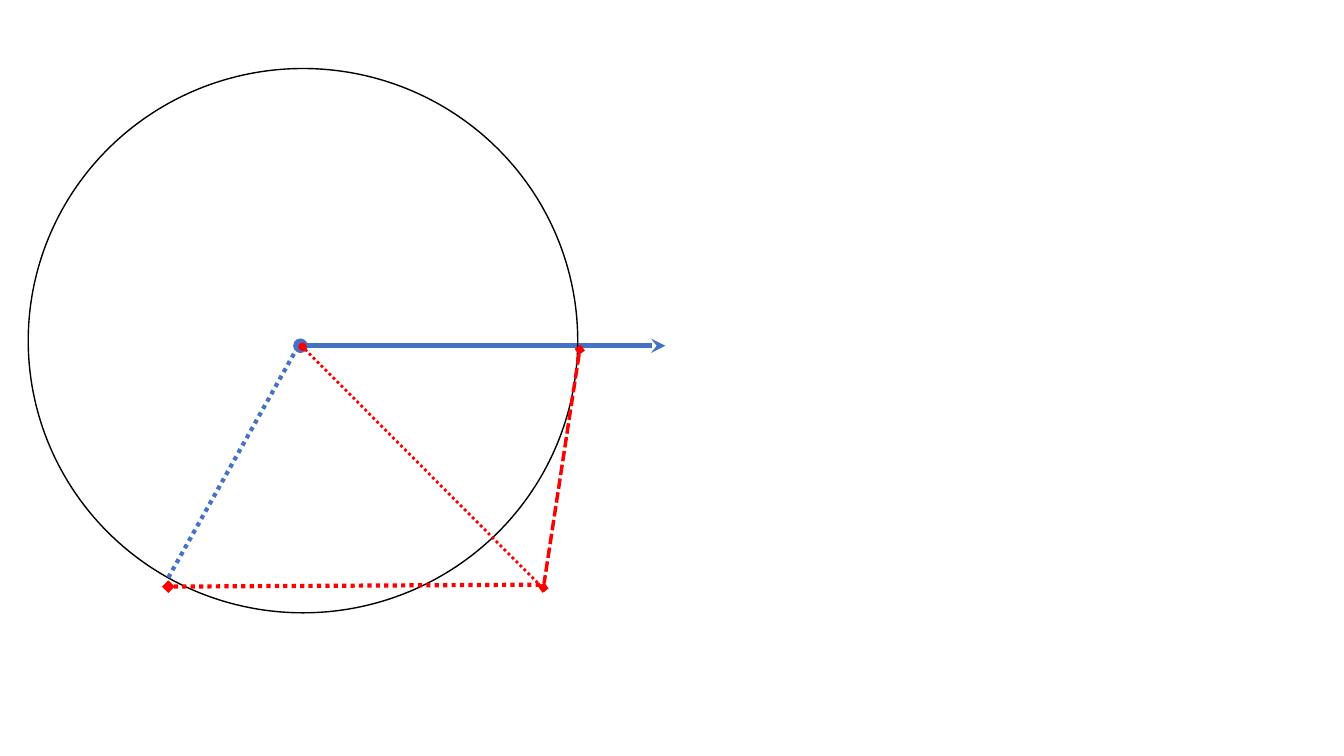
from pptx import Presentation
from pptx.dml.color import RGBColor
from pptx.enum.dml import MSO_LINE
from pptx.enum.shapes import MSO_CONNECTOR, MSO_SHAPE
from pptx.oxml.ns import qn
from pptx.util import Inches, Pt
from lxml import etree

STRAIGHT = MSO_CONNECTOR.STRAIGHT
OVAL = MSO_SHAPE.OVAL
DOTTED = MSO_LINE.ROUND_DOT
DASHED = MSO_LINE.SQUARE_DOT
BLUE = RGBColor(0x44, 0x72, 0xC4)
RED = RGBColor(0xFF, 0x00, 0x00)
BLACK = RGBColor(0x00, 0x00, 0x00)


def add_vector(slide, start, end, color, weight, dash=None, head=None, tail=None):
    vector = slide.shapes.add_connector(STRAIGHT, *start, *end)
    vector.line.color.rgb = color
    vector.line.width = Pt(weight)
    if dash is not None:
        vector.line.dash_style = dash
    properties = vector._element.spPr
    outline = properties.find(qn("a:ln"))
    for tag, marker in (("a:headEnd", head), ("a:tailEnd", tail)):
        if marker:
            etree.SubElement(outline, qn(tag), type=marker)
    etree.SubElement(properties, qn("a:effectLst"))


def add_circle(slide, left, top, width, height):
    circle = slide.shapes.add_shape(OVAL, left, top, width, height)
    circle.shadow.inherit = False
    circle.fill.background()
    circle.line.color.rgb = BLACK
    circle.line.width = Pt(1)


def draw_vector_diagram(slide, left, top, width, height):
    def point(x, y):
        return left + Inches(x), top + Inches(y)

    add_vector(slide, point(2.7, 2.75), point(6.32, 2.75), BLUE, 3.5,
               head="oval", tail="stealth")
    add_circle(slide, left, top, width, height)
    add_vector(slide, point(1.39, 5.14), point(5.13, 5.12), RED, 3,
               DOTTED, head="diamond")
    add_vector(slide, point(1.39, 5.05), point(2.68, 2.75), BLUE, 3, DOTTED)
    add_vector(slide, point(2.72, 2.76), point(5.13, 5.18), RED, 2,
               DOTTED, head="oval")
    add_vector(slide, point(5.47, 2.79), point(5.11, 5.15), RED, 2.5,
               DASHED, head="diamond", tail="diamond")


def main():
    presentation = Presentation()
    presentation.slide_width = Inches(13.33)
    presentation.slide_height = Inches(7.5)
    slide = presentation.slides.add_slide(presentation.slide_layouts[6])
    draw_vector_diagram(slide, Inches(0.28), Inches(0.68), Inches(5.45), Inches(5.4))
    presentation.save("out.pptx")


if __name__ == "__main__":
    main()
